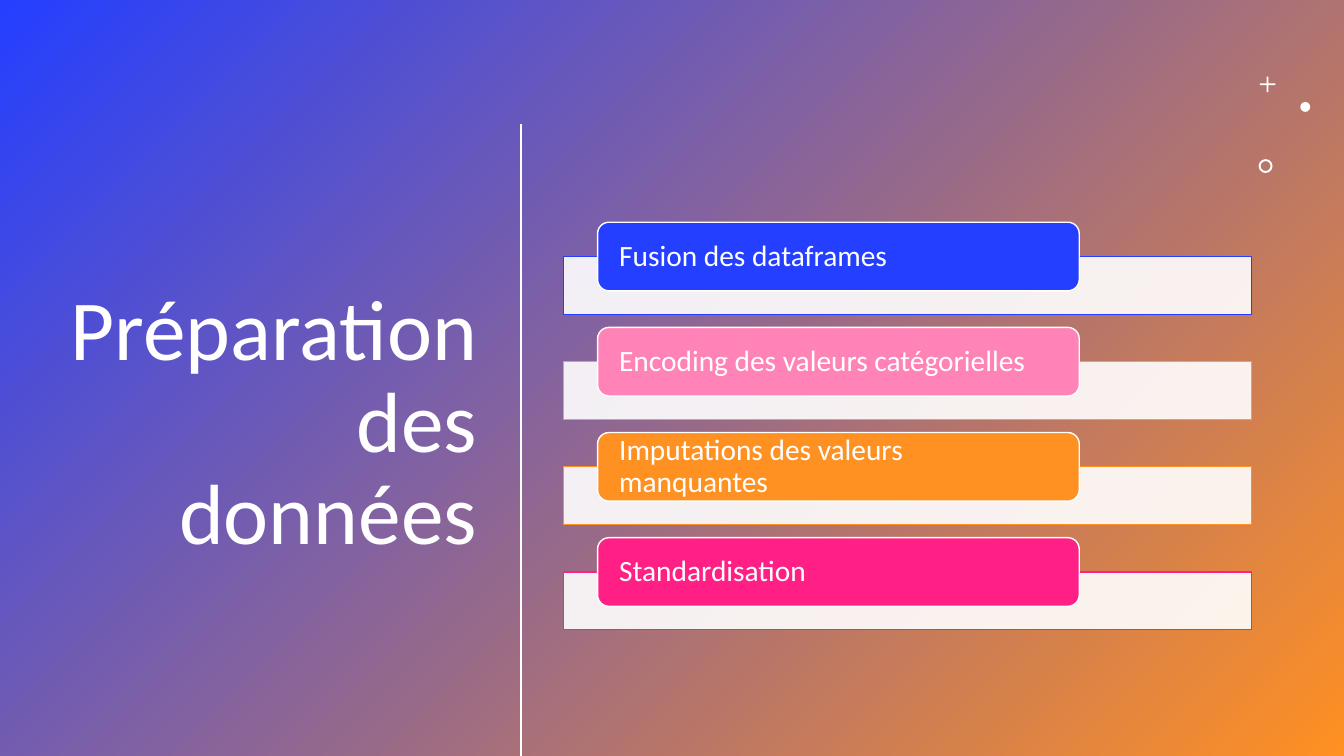
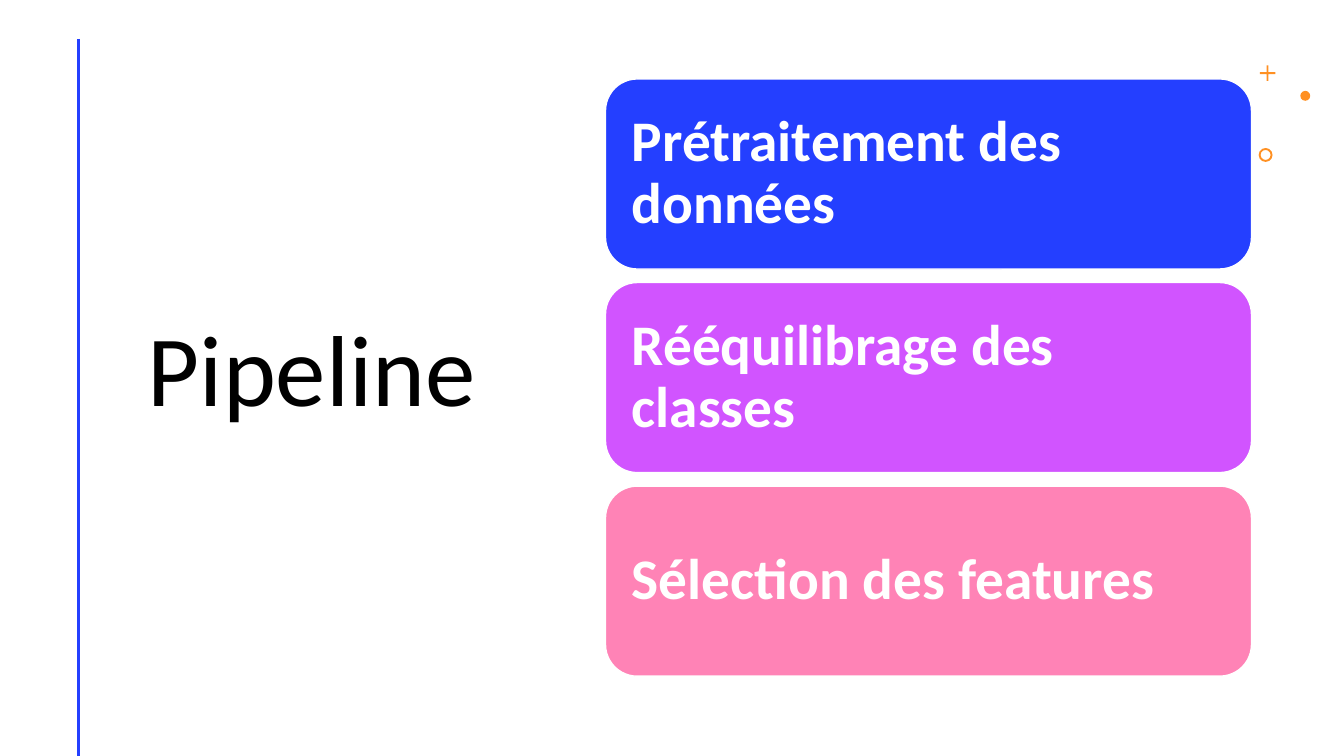
from dataclasses import dataclass

from lxml import etree
from pptx import Presentation
from pptx.dml.color import RGBColor
from pptx.enum.shapes import MSO_CONNECTOR, MSO_SHAPE
from pptx.enum.text import MSO_ANCHOR, PP_ALIGN
from pptx.oxml.ns import qn
from pptx.util import Cm, Pt

RECT = MSO_SHAPE.RECTANGLE
ROUNDED = MSO_SHAPE.ROUNDED_RECTANGLE
CROSS = MSO_SHAPE.CROSS
OVAL = MSO_SHAPE.OVAL
DONUT = MSO_SHAPE.DONUT
STRAIGHT = MSO_CONNECTOR.STRAIGHT
MIDDLE = MSO_ANCHOR.MIDDLE
LEFT = PP_ALIGN.LEFT
RIGHT = PP_ALIGN.RIGHT


@dataclass(frozen=True)
class Theme:
    font: str = "Calibri"
    white: str = "FFFFFF"
    black: str = "000000"
    blue: str = "243FFF"
    orange: str = "FF9022"
    pink: str = "FF83B6"
    magenta: str = "FF1F85"
    violet: str = "D154FF"
    small_title: int = 61
    large_title: int = 72
    step_size: int = 21
    card_size: int = 41
    line_spacing: float = 0.9
    rule_width: int = 2
    edge_width: int = 1


THEME = Theme()
WIDTH, HEIGHT = 33.87, 19.05


def set_values(target, values):
    for name, value in values.items():
        setattr(target, name, value)


def add_block(page, kind, frame, fill, edge=None, opacity=None, corner=None):
    """Add a preset shape; frame is left, top, width, height in cm."""
    block = page.shapes.add_shape(kind, *(Cm(length) for length in frame))
    block.shadow.inherit = False
    block.fill.solid()
    block.fill.fore_color.rgb = RGBColor.from_string(fill)
    if edge:
        block.line.color.rgb = RGBColor.from_string(edge)
        block.line.width = Pt(THEME.edge_width)
    else:
        block.line.fill.background()
    if opacity is not None:
        colour = block.fill._xPr.find(qn("a:solidFill"))[0]
        etree.SubElement(colour, qn("a:alpha"), val=str(opacity * 1000))
    if corner is not None:
        block.adjustments[0] = corner
    return block


def write(box, text, size, colour, align=LEFT, bold=False, insets=(0.25, 0.13)):
    """Write one paragraph; insets are horizontal and vertical in cm."""
    side, end = (Cm(inset) for inset in insets)
    set_values(box.text_frame, {
        "word_wrap": True, "vertical_anchor": MIDDLE,
        "margin_left": side, "margin_right": side,
        "margin_top": end, "margin_bottom": end,
    })
    para = box.text_frame.paragraphs[0]
    set_values(para, {"alignment": align, "line_spacing": THEME.line_spacing})
    span = para.add_run()
    span.text = text
    set_values(span.font, {"name": THEME.font, "size": Pt(size), "bold": bold})
    span.font.color.rgb = RGBColor.from_string(colour)


def add_title(page, text, left, top, size, colour, align=LEFT):
    box = page.shapes.add_textbox(Cm(left), Cm(top), Cm(10.95), Cm(15.52))
    write(box, text, size, colour, align)


def add_rule(page, left, top, colour):
    """Vertical line that runs down to the foot of the slide."""
    rule = page.shapes.add_connector(
        STRAIGHT, Cm(left), Cm(top), Cm(left), Cm(HEIGHT))
    rule.line.color.rgb = RGBColor.from_string(colour)
    rule.line.width = Pt(THEME.rule_width)
    etree.SubElement(rule._element.spPr, qn("a:effectLst"))


def add_ornaments(page, top, colour):
    """Small plus, dot and ring near the right edge."""
    marks = (
        (CROSS, 31.75, 0, 0.39, 0.44),
        (OVAL, 32.77, 0.64, 0.25, None),
        (DONUT, 31.72, 2.08, 0.35, 0.14),
    )
    for kind, left, drop, size, corner in marks:
        add_block(page, kind, (left, top + drop, size, size), colour,
                  corner=corner)


def add_gradient(page, start, end):
    backdrop = add_block(page, RECT, (0, 0, WIDTH, HEIGHT), start)
    backdrop.fill.gradient()
    backdrop.fill.gradient_angle = 315
    for stop, colour, position in zip(
            backdrop.fill.gradient_stops, (start, end), (0, 1)):
        stop.color.rgb = RGBColor.from_string(colour)
        stop.position = position


def add_steps(page, steps):
    """Coloured tabs, each on a pale bar."""
    first, pitch = 5.6, 2.65
    for index, (text, colour) in enumerate(steps):
        top = first + index * pitch
        add_block(page, RECT, (14.2, top + 0.86, 17.34, 1.46), THEME.white,
                  edge=colour, opacity=90)
        tab = add_block(page, ROUNDED, (15.06, top, 12.14, 1.73), colour,
                        edge=THEME.white)
        write(tab, text, THEME.step_size, THEME.white, insets=(0.46, 0))


def add_cards(page, cards):
    """Large rounded cards, stacked at an equal pitch."""
    first, pitch = 1.99, 5.13
    for index, (text, colour) in enumerate(cards):
        card = add_block(page, ROUNDED,
                         (15.26, first + index * pitch, 16.28, 4.79), colour,
                         edge=THEME.white)
        write(card, text, THEME.card_size, THEME.white, bold=True,
              insets=(0.43, 0.43))


def build_preparation(page):
    add_gradient(page, THEME.blue, THEME.orange)
    add_title(page, "Préparation des données", 1.32, 2.95,
              THEME.small_title, THEME.white, RIGHT)
    add_ornaments(page, 1.93, THEME.white)
    add_rule(page, 13.13, 3.13, THEME.white)
    add_steps(page, (
        ("Fusion des dataframes", THEME.blue),
        ("Encoding des valeurs catégorielles", THEME.pink),
        ("Imputations des valeurs manquantes", THEME.orange),
        ("Standardisation", THEME.magenta),
    ))


def build_pipeline(page):
    add_title(page, "Pipeline", 3.48, 1.65, THEME.large_title, THEME.black)
    add_rule(page, 1.98, 0.98, THEME.blue)
    add_ornaments(page, 1.65, THEME.orange)
    add_cards(page, (
        ("Prétraitement des données", THEME.blue),
        ("Rééquilibrage des classes", THEME.violet),
        ("Sélection des features", THEME.pink),
    ))


def main():
    deck = Presentation()
    set_values(deck, {"slide_width": Cm(WIDTH), "slide_height": Cm(HEIGHT)})
    blank = deck.slide_layouts[6]
    for build in (build_preparation, build_pipeline):
        build(deck.slides.add_slide(blank))
    deck.save("out.pptx")


if __name__ == "__main__":
    main()
